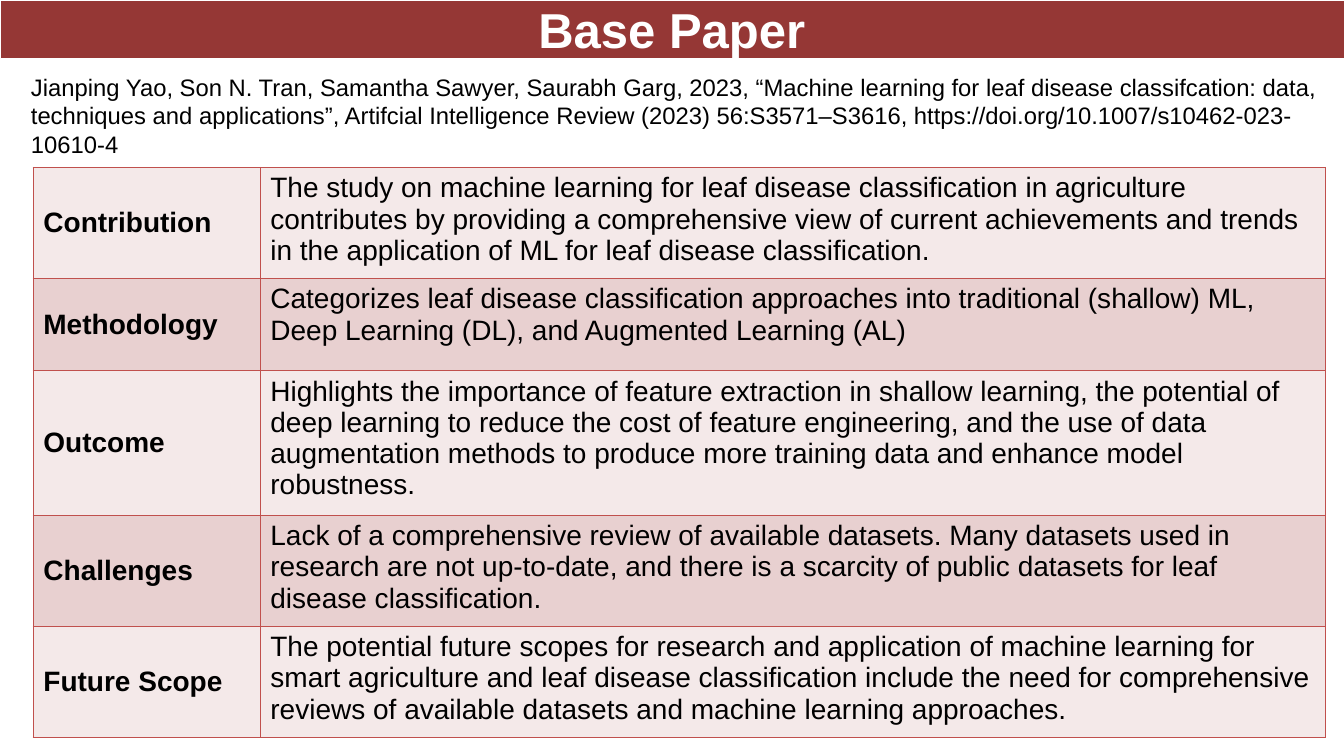
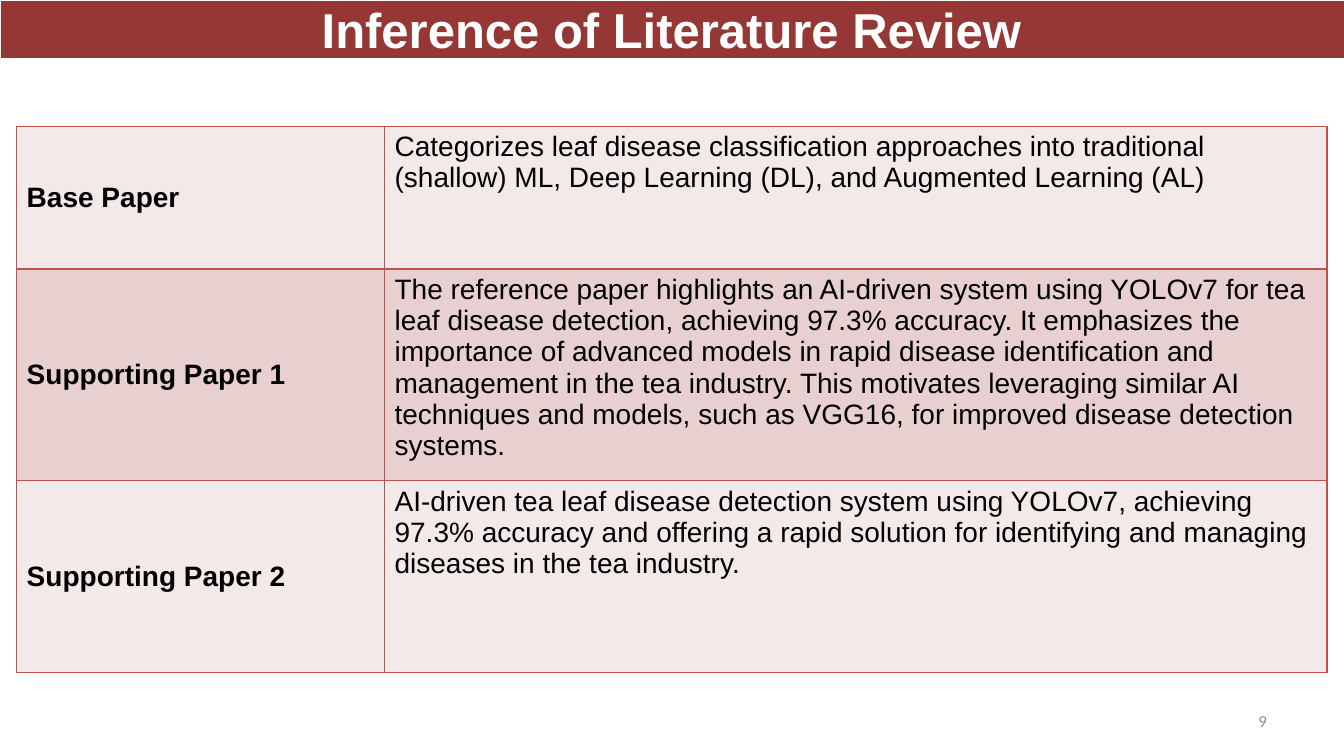
from dataclasses import dataclass

from lxml import etree
from pptx import Presentation
from pptx.dml import color as dml
from pptx.enum import shapes, text
from pptx.oxml import ns
from pptx.util import Cm, Pt

# Shared look
HUES = {
    "band": "953735", "white": "FFFFFF", "ink": "000000", "rule": "C0504D",
    "pale": "F4E9E9", "rose": "E8D0D0", "grey": "8C8C8C",
}
WIDE, HIGH = 33.87, 19.05
MID = text.MSO_ANCHOR.MIDDLE


@dataclass
class Font:
    size: float
    hue: str = "ink"
    bold: bool = False
    face: str = "Arial"


@dataclass
class Row:
    high: float
    head: str
    body: str


@dataclass
class Grid:
    left: float
    top: float
    cols: tuple[float, float]
    rows: list[Row]


TITLE = Font(35, "white", True)
CITE = Font(17)
HEAD = Font(20, bold=True)
BODY = Font(20)
PAGE = Font(12, "grey", face="Calibri")


def rgb(name: str) -> dml.RGBColor:
    return dml.RGBColor.from_string(HUES[name])


def write(frame, words: str, font: Font, align=text.PP_ALIGN.LEFT) -> None:
    para = frame.paragraphs[0]
    para.alignment = align
    run = para.add_run()
    run.text = words
    run.font.size = Pt(font.size)
    run.font.name = font.face
    run.font.bold = font.bold
    run.font.color.rgb = rgb(font.hue)


def add_band(slide, words: str) -> None:
    band = slide.shapes.add_shape(
        shapes.MSO_SHAPE.RECTANGLE, 0, 0, Cm(WIDE), Cm(1.47))
    band.shadow.inherit = False
    band.fill.solid()
    band.fill.fore_color.rgb = rgb("band")
    band.line.color.rgb = rgb("white")
    band.line.width = Pt(0.25)
    band.text_frame.vertical_anchor = MID
    write(band.text_frame, words, TITLE, text.PP_ALIGN.CENTER)


def add_note(slide, left: float, top: float, wide: float, high: float,
             words: str, font: Font, align=text.PP_ALIGN.LEFT,
             anchor=text.MSO_ANCHOR.TOP) -> None:
    box = slide.shapes.add_textbox(Cm(left), Cm(top), Cm(wide), Cm(high))
    box.text_frame.word_wrap = True
    box.text_frame.vertical_anchor = anchor
    write(box.text_frame, words, font, align)


def add_rules(cell) -> None:
    """Draw a thin line on all four sides of a cell."""
    props = cell._tc.get_or_add_tcPr()
    for spot, side in enumerate(("lnL", "lnR", "lnT", "lnB")):
        line = etree.Element(ns.qn(f"a:{side}"), w=str(Pt(1)))
        fill = etree.SubElement(line, ns.qn("a:solidFill"))
        etree.SubElement(fill, ns.qn("a:srgbClr"), val=HUES["rule"])
        props.insert(spot, line)


def add_grid(slide, grid: Grid) -> None:
    high = sum(row.high for row in grid.rows)
    table = slide.shapes.add_table(
        len(grid.rows), 2, Cm(grid.left), Cm(grid.top),
        Cm(sum(grid.cols)), Cm(high)).table
    table.first_row = table.horz_banding = False
    for col, wide in zip(table.columns, grid.cols):
        col.width = Cm(wide)
    for i, row in enumerate(grid.rows):
        table.rows[i].height = Cm(row.high)
        for j, (words, font) in enumerate(((row.head, HEAD), (row.body, BODY))):
            cell = table.cell(i, j)
            cell.fill.solid()
            cell.fill.fore_color.rgb = rgb("rose" if i % 2 else "pale")
            add_rules(cell)
            write(cell.text_frame, words, font)
        table.cell(i, 0).vertical_anchor = MID


# Content
SOURCE = (
    "Jianping Yao, Son N. Tran, Samantha Sawyer, Saurabh Garg, 2023, "
    "“Machine learning for leaf disease classifcation: data, techniques and "
    "applications”, Artifcial Intelligence Review (2023) 56:S3571–S3616, "
    "https://doi.org/10.1007/s10462-023-10610-4")
METHOD = (
    "Categorizes leaf disease classification approaches into traditional "
    "(shallow) ML, Deep Learning (DL), and Augmented Learning (AL)")
STUDY = Grid(0.84, 4.22, (5.72, 26.85), [
    Row(2.8, "Contribution",
        "The study on machine learning for leaf disease classification in "
        "agriculture contributes by providing a comprehensive view of current "
        "achievements and trends in the application of ML for leaf disease "
        "classification."),
    Row(2.32, "Methodology", METHOD),
    Row(3.64, "Outcome",
        "Highlights the importance of feature extraction in shallow learning, "
        "the potential of deep learning to reduce the cost of feature "
        "engineering, and the use of data augmentation methods to produce more "
        "training data and enhance model robustness."),
    Row(2.8, "Challenges",
        "Lack of a comprehensive review of available datasets. Many datasets "
        "used in research are not up-to-date, and there is a scarcity of "
        "public datasets for leaf disease classification."),
    Row(2.8, "Future Scope",
        "The potential future scopes for research and application of machine "
        "learning for smart agriculture and leaf disease classification "
        "include the need for comprehensive reviews of available datasets and "
        "machine learning approaches."),
])
REVIEW = Grid(0.42, 3.18, (9.27, 23.75), [
    Row(3.6, "Base Paper", METHOD),
    Row(4.98, "Supporting Paper 1",
        "The reference paper highlights an AI-driven system using YOLOv7 for "
        "tea leaf disease detection, achieving 97.3% accuracy. It emphasizes "
        "the importance of advanced models in rapid disease identification and "
        "management in the tea industry. This motivates leveraging similar AI "
        "techniques and models, such as VGG16, for improved disease detection "
        "systems."),
    Row(4.83, "Supporting Paper 2",
        "AI-driven tea leaf disease detection system using YOLOv7, achieving "
        "97.3% accuracy and offering a rapid solution for identifying and "
        "managing diseases in the tea industry."),
])


def main() -> None:
    deck = Presentation()
    deck.slide_width, deck.slide_height = Cm(WIDE), Cm(HIGH)
    blank = deck.slide_layouts[6]

    # Base paper
    slide = deck.slides.add_slide(blank)
    add_band(slide, "Base Paper")
    add_note(slide, 0.53, 1.7, 33.15, 2.44, SOURCE, CITE)
    add_grid(slide, STUDY)

    # Literature review
    slide = deck.slides.add_slide(blank)
    add_note(slide, 24.28, 17.65, 7.9, 1.02, "9", PAGE,
             text.PP_ALIGN.RIGHT, MID)
    add_band(slide, "Inference of Literature Review")
    add_grid(slide, REVIEW)

    deck.save("out.pptx")


if __name__ == "__main__":
    main()
